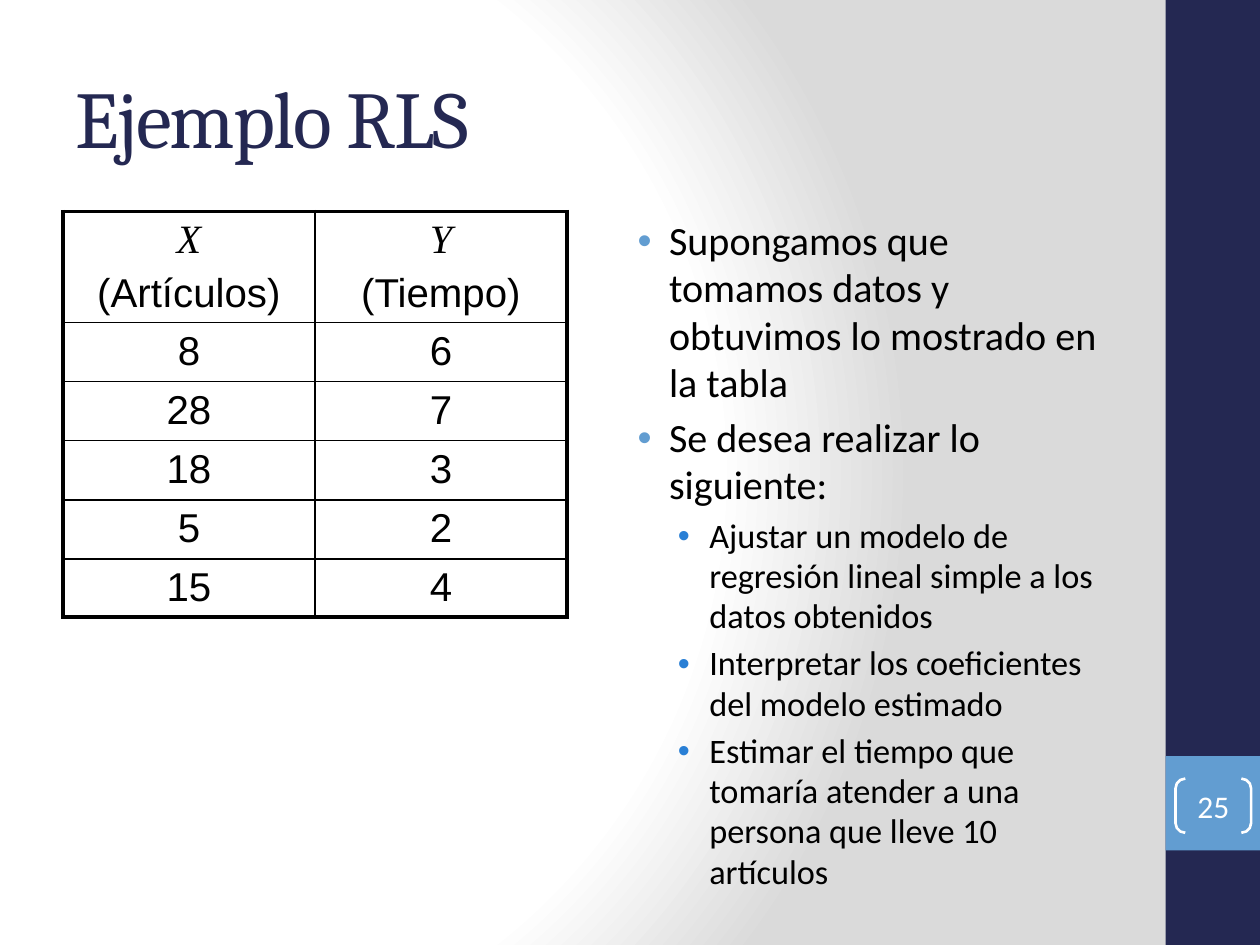
from dataclasses import dataclass

from pptx import Presentation
from pptx import util as u
from pptx.dml.color import RGBColor
from pptx.enum import shapes, text
from pptx.oxml import parse_xml
from pptx.oxml.ns import nsdecls

PX = u.Inches(1) // 100
CENTER, LEFT = text.PP_ALIGN.CENTER, text.PP_ALIGN.LEFT


@dataclass(frozen=True)
class Theme:
    """Colours, fonts and type sizes of the deck."""
    navy: str = "242852"
    sky: str = "629DD1"
    bullets: tuple = ("629DD1", "297FD5")
    ink: str = "000000"
    paper: str = "FFFFFF"
    shade: str = "DADADA"
    heading: str = "Cambria"
    prose: str = "Calibri"
    figures: str = "Arial"
    symbols: str = "Times New Roman"
    title_size: float = 46
    list_sizes: tuple = (22.9, 19.6)
    table_size: float = 23
    number_size: float = 18
    thin: float = 1
    thick: float = 2.25


def apply(target, formats):
    """Set each attribute in formats on target."""
    for name, value in formats.items():
        setattr(target, name, value)


class SlideBuilder:
    """Draws styled elements on the current slide."""

    def __init__(self, slide, theme):
        self.slide, self.theme = slide, theme

    def place(self, element, box):
        """Move an element to a box given in px."""
        apply(element, dict(zip(("left", "top", "width", "height"), (v * PX for v in box))))

    def add_words(self, paragraph, words, size, font, color, align=LEFT, **formats):
        """Put one formatted run in a paragraph."""
        paragraph.alignment = align
        run = paragraph.add_run()
        run.text = words
        apply(run.font, {"size": u.Pt(size), "name": font, **formats})
        run.font.color.rgb = RGBColor.from_string(color)
        return run

    def background(self):
        """Fill the slide with a radial gradient."""
        self.slide.background.fill.solid()
        solid = self.slide.background._cSld.bg.bgPr[0]
        stops = ((0, self.theme.paper), (75, self.theme.paper), (100, self.theme.shade))
        stop_xml = "".join(
            f'<a:gs pos="{at * 1000}"><a:srgbClr val="{color}"/></a:gs>' for at, color in stops)
        solid.getparent().replace(solid, parse_xml(
            f'<a:gradFill {nsdecls("a")} rotWithShape="1"><a:gsLst>{stop_xml}</a:gsLst>'
            '<a:path path="circle"><a:fillToRect l="20000" t="50000" r="100000" b="50000"/>'
            '</a:path></a:gradFill>'))

    def bar(self, box, color):
        """Draw a plain filled rectangle."""
        band = self.slide.shapes.add_shape(
            shapes.MSO_SHAPE.RECTANGLE, *(v * PX for v in box))
        band.shadow.inherit = False
        band.fill.solid()
        band.fill.fore_color.rgb = RGBColor.from_string(color)
        band.line.fill.background()

    def title(self, box, words):
        """Fill the title placeholder."""
        heading = self.slide.shapes.title
        self.place(heading, box)
        apply(heading.text_frame, {"vertical_anchor": text.MSO_ANCHOR.MIDDLE,
                                   "auto_size": text.MSO_AUTO_SIZE.NONE})
        run = self.add_words(heading.text_frame.paragraphs[0], words, self.theme.title_size,
                             self.theme.heading, self.theme.navy)
        run._r.get_or_add_rPr().set("spc", "-100")

    def bullet_list(self, box, items):
        """Fill the body placeholder with (level, words) items."""
        body = self.slide.placeholders[1]
        self.place(body, box)
        frame = body.text_frame
        frame.auto_size = text.MSO_AUTO_SIZE.NONE
        for index, (level, words) in enumerate(items):
            paragraph = frame.add_paragraph() if index else frame.paragraphs[0]
            size = self.theme.list_sizes[level]
            apply(paragraph, {"level": level, "line_spacing": 0.98,
                              "space_before": u.Pt(size * 0.2)})
            self.add_words(paragraph, words, size, self.theme.prose, self.theme.ink)
            props = paragraph._p.get_or_add_pPr()
            props.set("marL", str((38, 70)[level] * PX))
            props.set("indent", str(-25 * PX))
            for mark in (f'buClr {nsdecls("a")}><a:srgbClr val="{self.theme.bullets[level]}"/></a:buClr',
                         f'buFont {nsdecls("a")} typeface="Arial"/',
                         f'buChar {nsdecls("a")} char="•"/'):
                props.append(parse_xml(f"<a:{mark}>"))

    def borders(self, cell, outer):
        """Rule a cell, thick on the sides named in outer."""
        props = cell._tc.get_or_add_tcPr()
        for index, side in enumerate("LRTB"):
            points = self.theme.thick if side in outer else self.theme.thin
            props.insert(index, parse_xml(
                f'<a:ln{side} {nsdecls("a")} w="{u.Pt(points)}"><a:solidFill>'
                f'<a:srgbClr val="{self.theme.ink}"/></a:solidFill></a:ln{side}>'))

    def table(self, box, heights, headers, data):
        """Draw a ruled table with (symbol, caption) headers."""
        grid = self.slide.shapes.add_table(
            len(heights), len(headers), *(v * PX for v in box)).table
        apply(grid, {"first_row": False, "horz_banding": False})
        for row, height in zip(grid.rows, heights):
            row.height = height * PX
        last_row, last_column = len(heights) - 1, len(headers) - 1
        for r, values in enumerate([headers, *data]):
            for c, value in enumerate(values):
                cell = grid.cell(r, c)
                cell.fill.background()
                lines = value if r == 0 else (str(value),)
                for index, words in enumerate(lines):
                    paragraph = (cell.text_frame.add_paragraph() if index
                                 else cell.text_frame.paragraphs[0])
                    paragraph.space_before = u.Pt(self.theme.table_size * 0.2)
                    symbol = r == 0 and index == 0
                    self.add_words(paragraph, words, self.theme.table_size,
                                   self.theme.symbols if symbol else self.theme.figures,
                                   self.theme.ink, CENTER, italic=symbol)
                edges = {"L": c == 0, "R": c == last_column, "T": r == 0, "B": r == last_row}
                self.borders(cell, [side for side, outer in edges.items() if outer])

    def page_number(self, box, number):
        """Draw the page number between brackets."""
        badge = self.slide.shapes.add_shape(
            shapes.MSO_SHAPE.DOUBLE_BRACKET, *(v * PX for v in box))
        badge.shadow.inherit = False
        badge.adjustments[0] = 0.18
        badge.fill.background()
        badge.line.color.rgb = RGBColor.from_string(self.theme.paper)
        badge.line.width = u.Pt(1.5)
        frame = badge.text_frame
        apply(frame, {"vertical_anchor": text.MSO_ANCHOR.MIDDLE, "margin_left": 0,
                      "margin_right": 0, "margin_top": 0, "margin_bottom": 0})
        self.add_words(frame.paragraphs[0], number, self.theme.number_size,
                       self.theme.prose, self.theme.paper, CENTER)


def main():
    """Build the regression example slide."""
    deck = Presentation()
    apply(deck, {"slide_width": 1000 * PX, "slide_height": 750 * PX})
    theme = Theme()
    page = SlideBuilder(deck.slides.add_slide(deck.slide_layouts[1]), theme)
    page.background()
    page.bar((925, 0, 75, 750), theme.navy)
    page.bar((925, 600, 75, 75), theme.sky)
    page.title((50, 30, 833, 125), "Ejemplo RLS")
    page.table((50, 168, 400, 336), [83] + [47] * 4 + [46],
               (("X", "(Artículos)"), ("Y", "(Tiempo)")),
               ((8, 6), (28, 7), (18, 3), (5, 2), (15, 4)))
    page.bullet_list((483, 168, 400, 502), (
        (0, "Supongamos que tomamos datos y obtuvimos lo mostrado en la tabla"),
        (0, "Se desea realizar lo siguiente:"),
        (1, "Ajustar un modelo de regresión lineal simple a los datos obtenidos"),
        (1, "Interpretar los coeficientes del modelo estimado"),
        (1, "Estimar el tiempo que tomaría atender a una persona que lleve 10 artículos")))
    page.page_number((933, 618, 60, 43), "25")
    deck.save("out.pptx")


if __name__ == "__main__":
    main()
